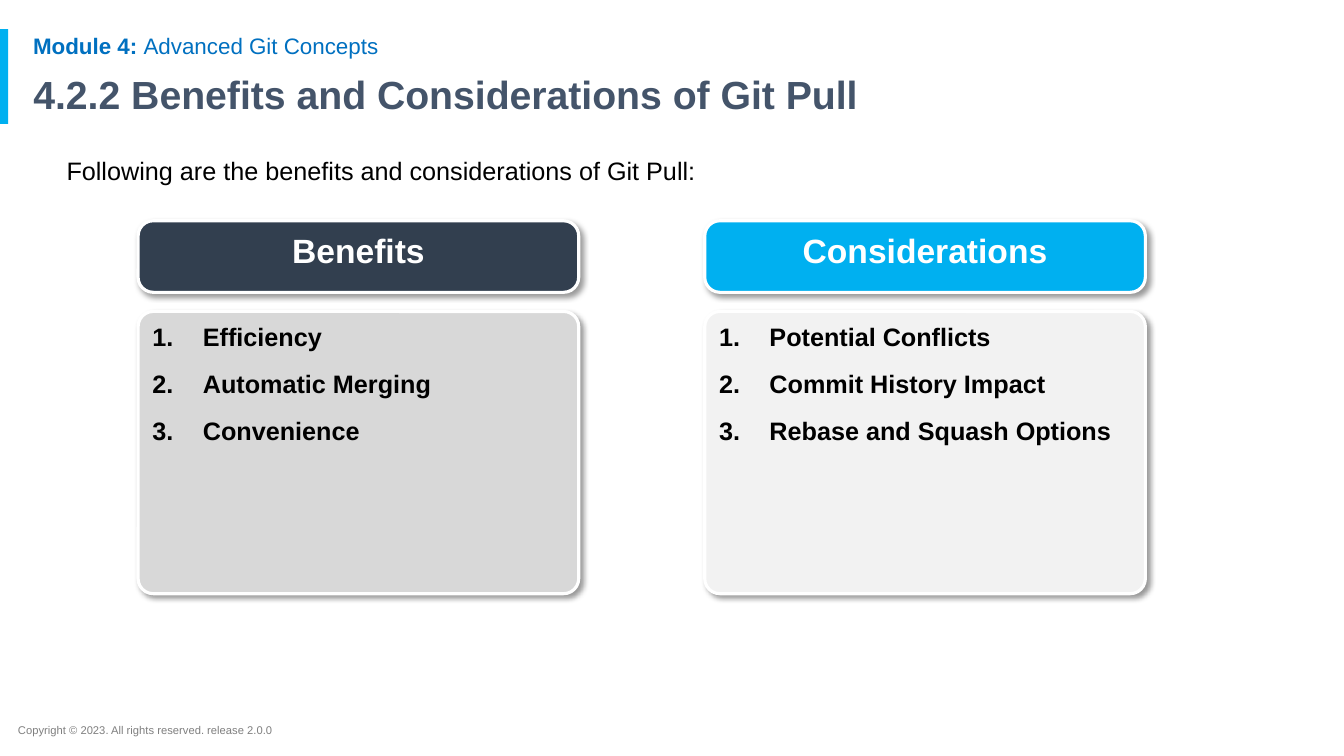
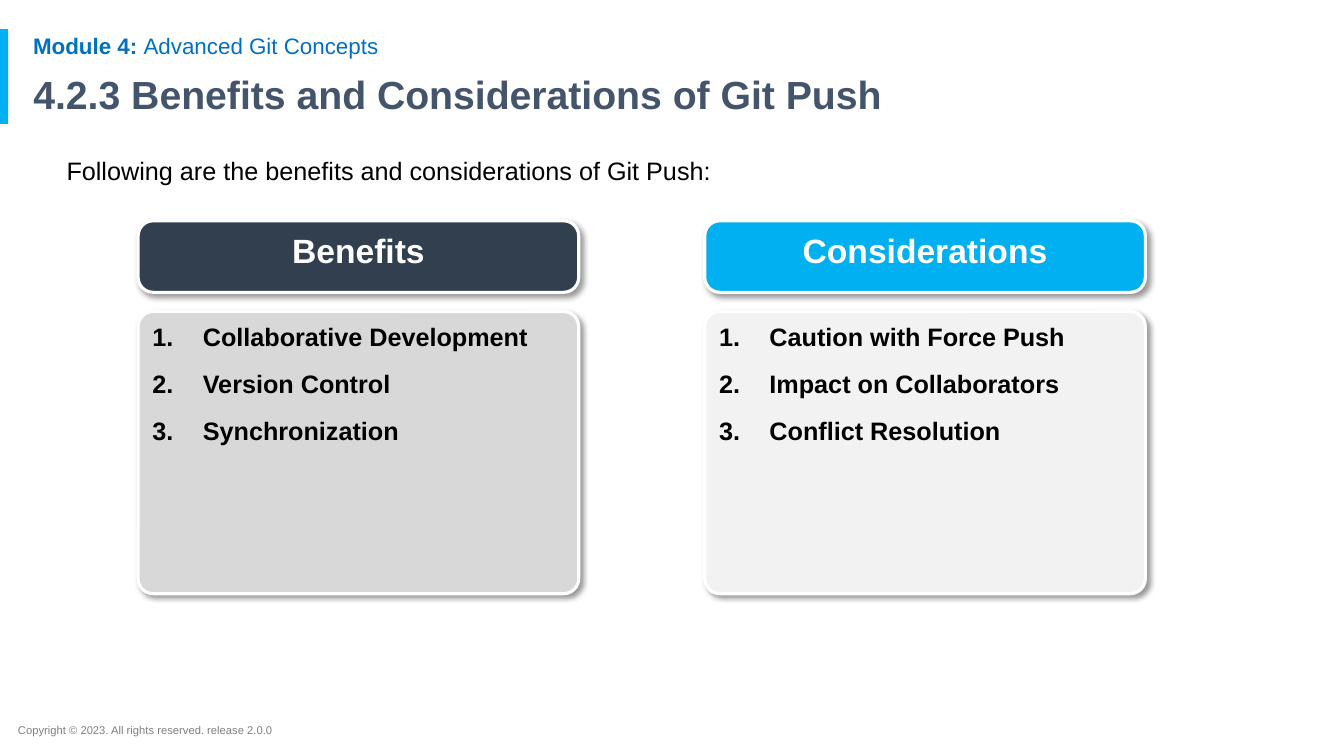
"""Build two slides on the benefits and considerations of Git commands."""
import dataclasses

import pptx
import pptx.dml.color
import pptx.enum.shapes
import pptx.enum.text
import pptx.oxml
import pptx.oxml.ns
import pptx.util

Inches = pptx.util.Inches
Pt = pptx.util.Pt
SHAPE = pptx.enum.shapes.MSO_SHAPE
ALIGN = pptx.enum.text.PP_ALIGN
ANCHOR = pptx.enum.text.MSO_ANCHOR
qn = pptx.oxml.ns.qn


@dataclasses.dataclass(frozen=True)
class Theme:
    """Colours, font and type sizes of the deck."""
    font: str = "Arial"
    accent: str = "00B0F0"
    module: str = "0070C0"
    title: str = "44546A"
    navy: str = "323F4F"
    grey: str = "D8D8D8"
    pale: str = "F2F2F2"
    muted: str = "7F7F7F"
    white: str = "FFFFFF"
    black: str = "000000"
    footer_size: int = 8
    module_size: int = 16
    body_size: int = 18
    heading_size: int = 24
    title_size: int = 28


THEME = Theme()

SLIDES = [
    ("4.2.2 Benefits and Considerations of Git Pull",
     "Following are the benefits and considerations of Git Pull:",
     ["Efficiency", "Automatic Merging", "Convenience"],
     ["Potential Conflicts", "Commit History Impact", "Rebase and Squash Options"]),
    ("4.2.3 Benefits and Considerations of Git Push",
     "Following are the benefits and considerations of Git Push:",
     ["Collaborative Development", "Version Control", "Synchronization"],
     ["Caution with Force Push", "Impact on Collaborators", "Conflict Resolution"]),
]


def rgb(value):
    """Turn a hex string into a colour."""
    return pptx.dml.color.RGBColor.from_string(value)


def write(p, text, size=THEME.body_size, color=THEME.black, bold=False,
          align=ALIGN.LEFT, spacing=1.0, before=0):
    """Add a formatted run to a paragraph and set the paragraph's format."""
    p.alignment, p.line_spacing, p.space_before = align, spacing, Pt(before)
    r = p.add_run()
    r.text = text
    r.font.name, r.font.size, r.font.bold = THEME.font, Pt(size), bold
    r.font.color.rgb = rgb(color)


def frame(sp, anchor=ANCHOR.TOP):
    """Prepare a shape's text frame and return it."""
    tf = sp.text_frame
    tf.word_wrap = True
    tf.auto_size = pptx.enum.text.MSO_AUTO_SIZE.NONE
    tf.vertical_anchor = anchor
    return tf


def set_bullet(p, indent, *marks):
    """Set a hanging indent in inches and the bullet elements of a paragraph."""
    pPr = p._p.get_or_add_pPr()
    pPr.set("marL", str(Inches(indent)))
    pPr.set("indent", str(-Inches(indent)))
    for mark in marks:
        pPr.append(pptx.oxml.parse_xml(mark.replace(">", f" {pptx.oxml.ns.nsdecls('a')}>", 1)))


def place(sp, left, top, width, height):
    """Move and size a shape in inches."""
    sp.left, sp.top = Inches(left), Inches(top)
    sp.width, sp.height = Inches(width), Inches(height)


def add_text(s, left, top, width, height):
    """Add a text box and return it with its first paragraph."""
    sp = s.shapes.add_textbox(Inches(left), Inches(top), Inches(width), Inches(height))
    return sp, frame(sp, ANCHOR.MIDDLE).paragraphs[0]


def set_layout(layout, s):
    """Place the layout's placeholders and move the shared parts from s to it."""
    place(layout.placeholders[0], 0.23, 0.69, 11.5, 0.54)
    place(layout.placeholders[1], 0.56, 1.43, 11.24, 5.29)
    band = s.shapes.add_shape(SHAPE.RECTANGLE, 0, Inches(0.29), Inches(0.08), Inches(0.94))
    band.shadow.inherit = False
    band.fill.solid()
    band.fill.fore_color.rgb = rgb(THEME.accent)
    band.line.fill.background()
    footer, p = add_text(s, 0.08, 7.12, 7.13, 0.24)
    write(p, "Copyright © 2023. All rights reserved. release 2.0.0",
          size=THEME.footer_size, color=THEME.muted)
    module, p = add_text(s, 0.23, 0.3, 11.5, 0.33)
    for text, bold in (("Module 4: ", True), ("Advanced Git Concepts", False)):
        write(p, text, size=THEME.module_size, color=THEME.module, bold=bold, spacing=0.9)
    for number, sp in enumerate((band, footer, module), 20):
        sp.element.nvSpPr.cNvPr.set("id", str(number))
        layout.shapes.element.append(sp.element)


def add_card(group, left, top, width, height, fill):
    """Add a rounded, shadowed card and return its text frame."""
    sp = group.shapes.add_shape(SHAPE.ROUNDED_RECTANGLE, Inches(left), Inches(top),
                                Inches(width), Inches(height))
    sp.adjustments[0] = 0.15 / height
    sp.fill.solid()
    sp.fill.fore_color.rgb = rgb(fill)
    sp.line.color.rgb = rgb(THEME.white)
    sp.line.width = Pt(2.25)
    sp.shadow.inherit = False
    sp.element.spPr.find(qn("a:effectLst")).append(pptx.oxml.parse_xml(
        f'<a:outerShdw {pptx.oxml.ns.nsdecls("a")} blurRad="{Pt(4)}" dist="{Pt(3)}" '
        f'dir="2700000" algn="tl" rotWithShape="0"><a:srgbClr val="{THEME.black}">'
        '<a:alpha val="40000"/></a:srgbClr></a:outerShdw>'))
    return frame(sp)


def add_panel(s, left, top, width, height, heading, items, head_fill, list_fill):
    """Add a heading card above a card with a numbered list."""
    head, gap = 0.71, 0.19
    group = s.shapes.add_group_shape()
    tf = add_card(group, left, top, width, head, head_fill)
    write(tf.paragraphs[0], heading, size=THEME.heading_size, color=THEME.white,
          bold=True, align=ALIGN.CENTER)
    tf = add_card(group, left, top + head + gap, width, height - head - gap, list_fill)
    for i, item in enumerate(items):
        p = tf.add_paragraph() if i else tf.paragraphs[0]
        write(p, item, bold=True, before=12 if i else 0)
        set_bullet(p, 0.5, f'<a:buClr><a:srgbClr val="{THEME.black}"/></a:buClr>',
                   '<a:buFont typeface="+mj-lt"></a:buFont>',
                   '<a:buAutoNum type="arabicPeriod"></a:buAutoNum>')


def fill_slide(s, title, intro, benefits, considerations):
    """Fill the title and body placeholders and add both panels."""
    write(frame(s.shapes.title, ANCHOR.MIDDLE).paragraphs[0], title,
          size=THEME.title_size, color=THEME.title, bold=True, spacing=0.9)
    p = frame(s.placeholders[1]).paragraphs[0]
    write(p, intro, spacing=1.2)
    set_bullet(p, 0, "<a:buNone></a:buNone>")
    left, top, width, height, gap = 1.37, 2.19, 4.37, 3.7, 1.25
    panels = (("Benefits", benefits, THEME.navy, THEME.grey),
              ("Considerations", considerations, THEME.accent, THEME.pale))
    for i, panel in enumerate(panels):
        add_panel(s, left + i * (width + gap), top, width, height, *panel)


def main():
    """Build and save the deck."""
    prs = pptx.Presentation()
    prs.slide_width, prs.slide_height = Inches(13.33), Inches(7.5)
    layout = prs.slide_layouts[1]
    for i, content in enumerate(SLIDES):
        s = prs.slides.add_slide(layout)
        if i == 0:
            set_layout(layout, s)
        fill_slide(s, *content)
    prs.save("out.pptx")


if __name__ == "__main__":
    main()
